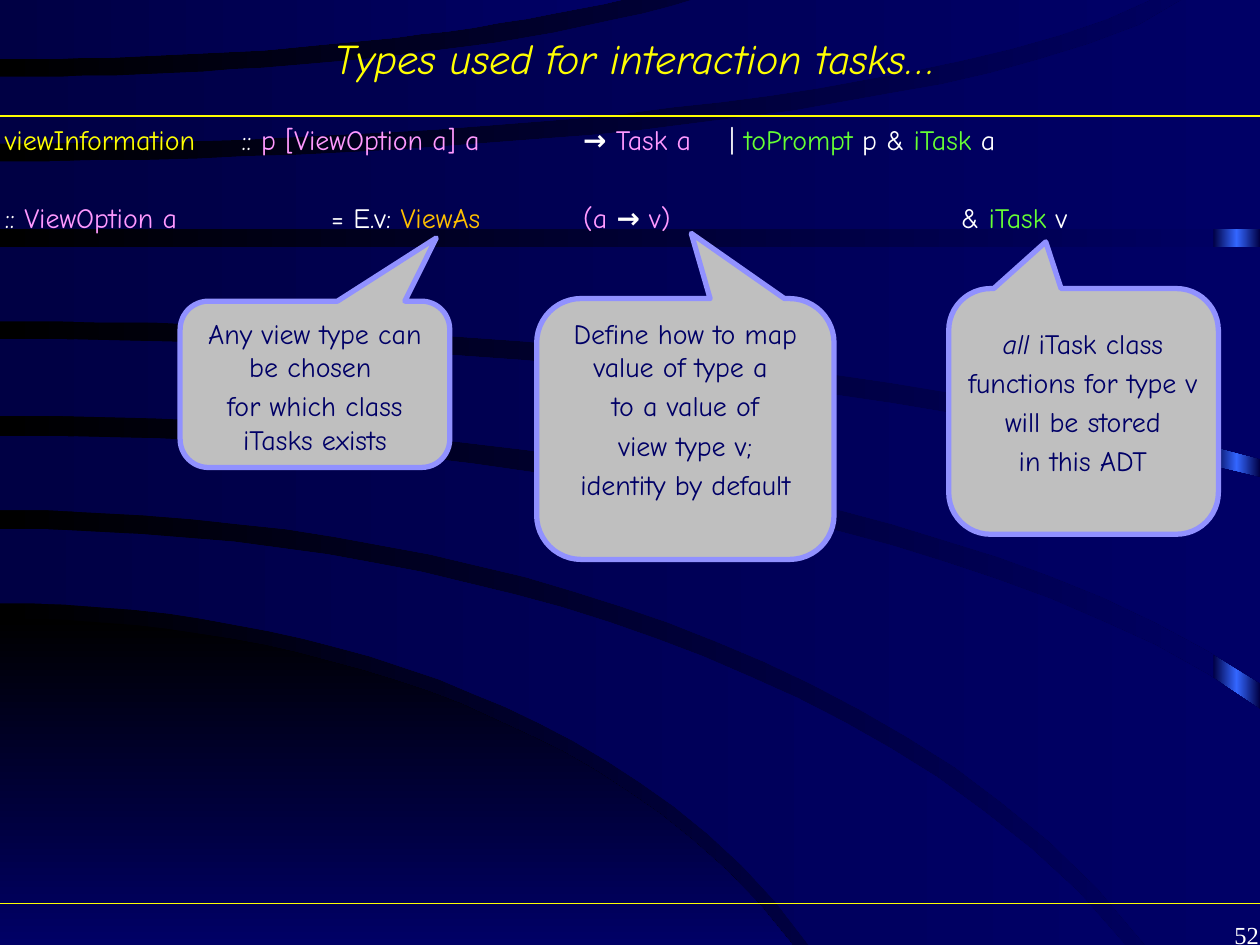
from copy import deepcopy
from math import sqrt

from lxml.etree import SubElement
from pptx import Presentation
from pptx.dml.color import RGBColor
from pptx.enum.shapes import MSO_CONNECTOR, MSO_SHAPE
from pptx.enum.text import MSO_ANCHOR, MSO_AUTO_SIZE, PP_ALIGN
from pptx.oxml.ns import qn
from pptx.util import Cm, Pt

THEME = {
    "black": "000000", "navy": "000066", "dark": "000044", "glow": "3366FF",
    "yellow": "FFFF00", "white": "FFFFFF", "pink": "FF99FF", "green": "66FF33",
    "orange": "FFC000", "grey": "BFBFBF", "lilac": "9191FF",
    "font": "Comic Neue", "number_font": "Times New Roman",
    "title": 24, "text": 16, "number": 14, "rule": 0.75, "border": 3,
    "gap": 3.2, "row_gap": 25.5,
}

TITLE = "Types used for interaction tasks…"
NUMBER = "52"
BOLD, ITALIC = {"bold": True}, {"italic": True}

SIGNATURES = [
    ((1.88, 4.59, 5.75), [
        ("viewInformation", "yellow"), ("\t::", "white"),
        (" p [ViewOption a] a\t", "pink"), ("→", "white", BOLD),
        (" Task a", "pink"), ("\t| ", "white"), ("toPrompt", "green"),
        (" p & ", "white"), ("iTask", "green"), (" a", "white")]),
    ((2.59, 4.59, 7.59), [
        (":: ", "white"), ("ViewOption a\t", "pink"), ("= E.v: ", "white"),
        ("ViewAs", "orange"), ("\t(a ", "pink"), ("→", "white", BOLD),
        (" v)\t", "pink"), ("& ", "white"), ("iTask", "green"), (" v", "white")]),
]

CALLOUTS = [
    {"box": (1.43, 2.39, 2.14, 1.32), "tip": (0.45, -0.88),
     "text": (1.43, 2.46, 2.14, 1.23),
     "lines": [[("Any view type can be chosen ", "navy")],
               [("for which class iTasks exists", "navy")]]},
    {"box": (4.26, 2.37, 2.36, 2.07), "tip": (0.02, -0.75),
     "text": (4.26, 2.46, 2.36, 1.61),
     "lines": [[("Define how to map value of type a ", "navy")],
               [("to a value of", "navy")],
               [("view type v;", "navy")],
               [("identity by default", "navy")]]},
    {"box": (7.53, 2.29, 2.14, 1.95), "tip": (-0.14, -0.69),
     "text": (7.43, 2.54, 2.33, 1.66),
     "lines": [[("all ", "navy", ITALIC), ("iTask class", "navy")],
               [("functions for type v", "navy")],
               [("will be stored", "navy")],
               [("in this ADT", "navy")]]},
]

# Each arc: start height, horizontal radius, vertical radius, right end.
HILL = ((4.91, 7, 4.61, 6.29), (7.5, 10, 0, 6.29))
SWEEPS = [
    ((4.2, 9.9, 5.8, 8.93), (4.79, 7.05, 4.62, 6.42)),
    ((3.46, 11, 3.72, 10), (4.05, 9.95, 5.81, 9.09), (7.5, 10, 0, 10)),
    ((2.69, 15, 4.32, 10), (3.3, 11.1, 3.75, 10)),
    ((1.96, 10, 0, 10), (2.55, 13.2, 3.14, 10)),
    ((1.28, 9.68, -1.69, 9.43), (1.82, 10, 0, 10)),
    ((0.61, 6.8, -1.48, 5.56), (1.14, 9.7, -1.72, 9.17)),
    ((0, 10, 0, 5.01), (0.47, 7, -1.62, 5.01)),
]
CORNERS = {1: [(10, 7.5)], 4: [(10, 0)]}
STEPS = 24


def inches(*values):
    return [Cm(2.54 * v) for v in values]


def rgb(name):
    return RGBColor.from_string(THEME[name])


def gradient(fill, colors, angle=0):
    fill.gradient()
    fill.gradient_angle = angle
    for i, (stop, color) in enumerate(zip(fill.gradient_stops, colors)):
        stop.color.rgb, stop.position = rgb(color), i


def arc(top, across, down, end):
    xs = [end * i / STEPS for i in range(STEPS + 1)]
    return [(x, top + down * (1 - sqrt(1 - (x / across) ** 2))) for x in xs]


def add_sweep(s, arcs, colors, angle=0, corner=()):
    points = [*arc(*arcs[0]), *corner, *reversed(arc(*arcs[1]))]
    points = [(round(100 * x), round(100 * y)) for x, y in points]
    builder = s.shapes.build_freeform(*points[0], scale=Cm(2.54) / 100)
    builder.add_line_segments(points[1:])
    sp = builder.convert_to_shape()
    sp.shadow.inherit = False
    sp.line.fill.background()
    gradient(sp.fill, colors, angle)


def add_edge(s):
    sp = s.shapes.add_shape(MSO_SHAPE.RECTANGLE, *inches(9.63, 0, 0.37, 7.5))
    sp.shadow.inherit = False
    sp.line.fill.background()
    gradient(sp.fill, ("dark", "dark"))
    stops = sp._element.spPr.find(".//" + qn("a:gsLst"))
    stops.insert(1, deepcopy(stops[0]))
    middle = sp.fill.gradient_stops[1]
    middle.position, middle.color.rgb = 0.5, rgb("glow")


def add_rule(s, y):
    ln = s.shapes.add_connector(MSO_CONNECTOR.STRAIGHT, *inches(0, y, 10, y))
    ln.line.color.rgb, ln.line.width = rgb("yellow"), Pt(THEME["rule"])
    SubElement(ln._element.spPr, qn("a:effectLst"))


def write(tf, lines, size="text", font="font", align=PP_ALIGN.LEFT, gap="gap", tabs=()):
    tf.word_wrap, tf.auto_size = True, MSO_AUTO_SIZE.NONE
    for i, runs in enumerate(lines):
        p = tf.add_paragraph() if i else tf.paragraphs[0]
        p.alignment = align
        p.space_before = Pt(THEME[gap] if i else 0)
        if tabs:
            tab_list = SubElement(p._p.get_or_add_pPr(), qn("a:tabLst"))
            for pos in inches(*tabs[i]):
                SubElement(tab_list, qn("a:tab"), pos=str(pos), algn="l")
        for text, color, *extra in runs:
            r = p.add_run()
            r.text = text
            r.font.color.rgb = rgb(color)
            style = {"name": THEME[font], "size": Pt(THEME[size]), "bold": False, "italic": False}
            for key, value in {**style, **(extra[0] if extra else {})}.items():
                setattr(r.font, key, value)


def add_callout(s, callout):
    group = s.shapes.add_group_shape().shapes
    sp = group.add_shape(MSO_SHAPE.ROUNDED_RECTANGULAR_CALLOUT, *inches(*callout["box"]))
    sp.shadow.inherit = False
    for i, value in enumerate((*callout["tip"], 0.17)):
        sp.adjustments[i] = value
    sp.fill.solid()
    sp.fill.fore_color.rgb = rgb("grey")
    sp.line.color.rgb, sp.line.width = rgb("lilac"), Pt(THEME["border"])
    tf = group.add_textbox(*inches(*callout["text"])).text_frame
    write(tf, callout["lines"], align=PP_ALIGN.CENTER)


def main():
    prs = Presentation()
    prs.slide_width, prs.slide_height = inches(10, 7.5)
    s = prs.slides.add_slide(prs.slide_layouts[5])
    gradient(s.background.fill, ("black", "navy"))
    add_sweep(s, HILL, ("black", "navy"), 270)
    add_edge(s)
    for i, arcs in enumerate(SWEEPS):
        add_sweep(s, arcs, ("dark", "navy"), corner=CORNERS.get(i, ()))
    for y in (7.17, 0.92):
        add_rule(s, y)

    title = s.shapes.title
    title.left, title.top, title.width, title.height = inches(0.08, 0, 9.92, 0.92)
    title.text_frame.vertical_anchor = MSO_ANCHOR.MIDDLE
    write(title.text_frame, [[(TITLE, "yellow", ITALIC)]], "title", align=PP_ALIGN.CENTER)
    s.shapes._spTree.append(title._element)

    number = s.shapes.add_textbox(*inches(9.3, 7.25, 0.79, 0.33))
    write(number.text_frame, [[(NUMBER, "white")]], "number", "number_font", PP_ALIGN.RIGHT)
    body = s.shapes.add_textbox(*inches(-0.06, 0.92, 10.84, 6.17))
    tabs, lines = zip(*SIGNATURES)
    write(body.text_frame, lines, gap="row_gap", tabs=tabs)
    for callout in CALLOUTS:
        add_callout(s, callout)
    prs.save("out.pptx")


if __name__ == "__main__":
    main()
